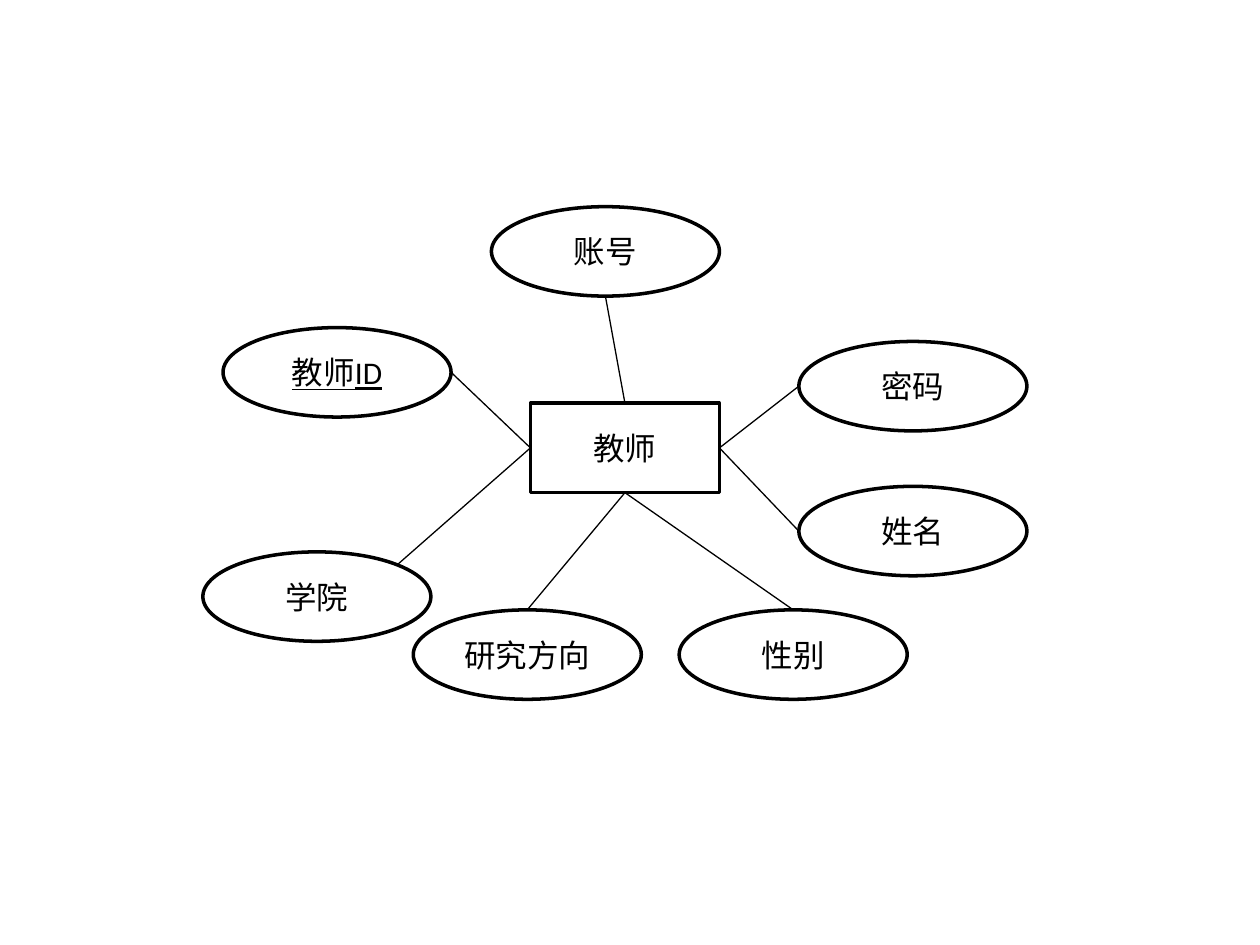
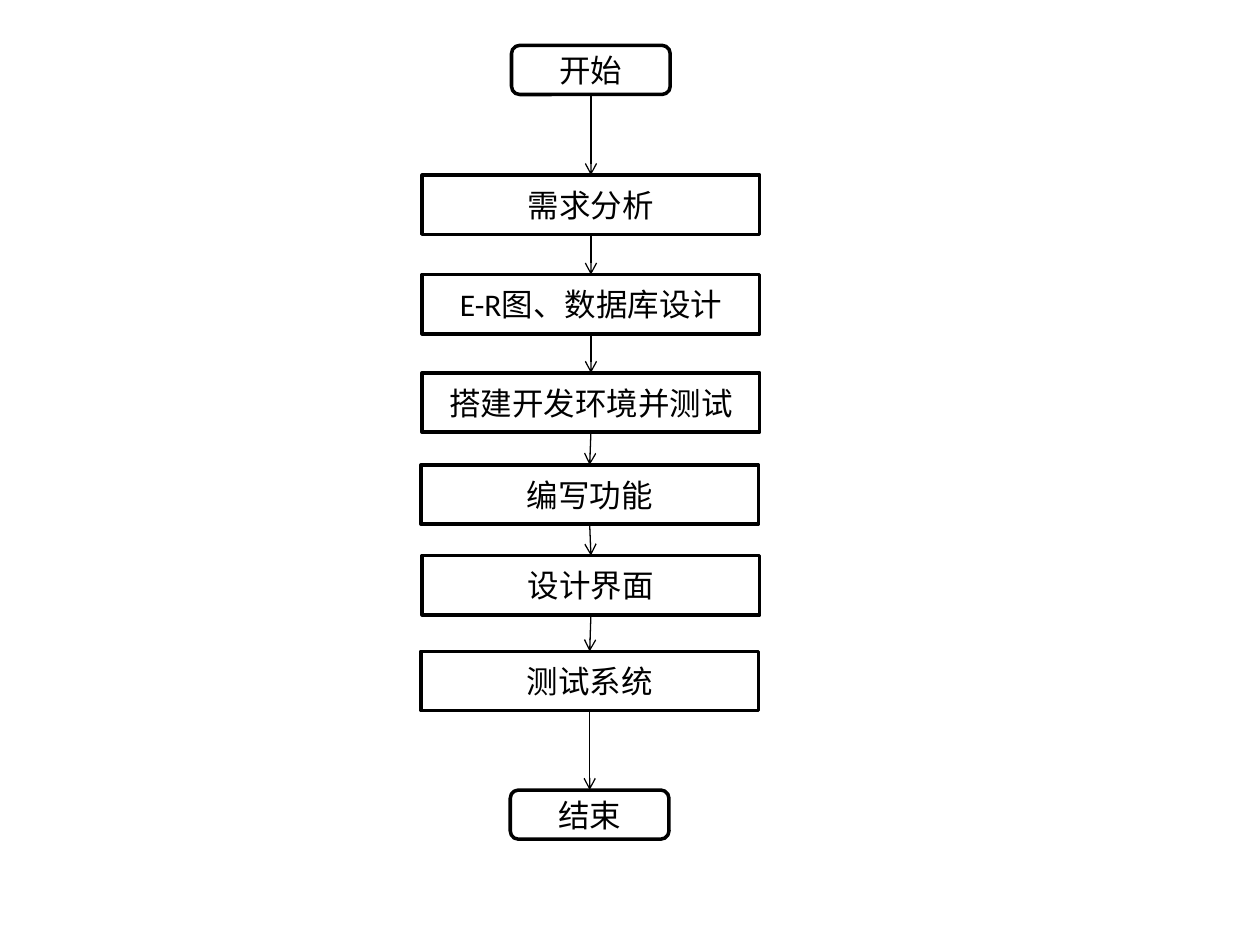
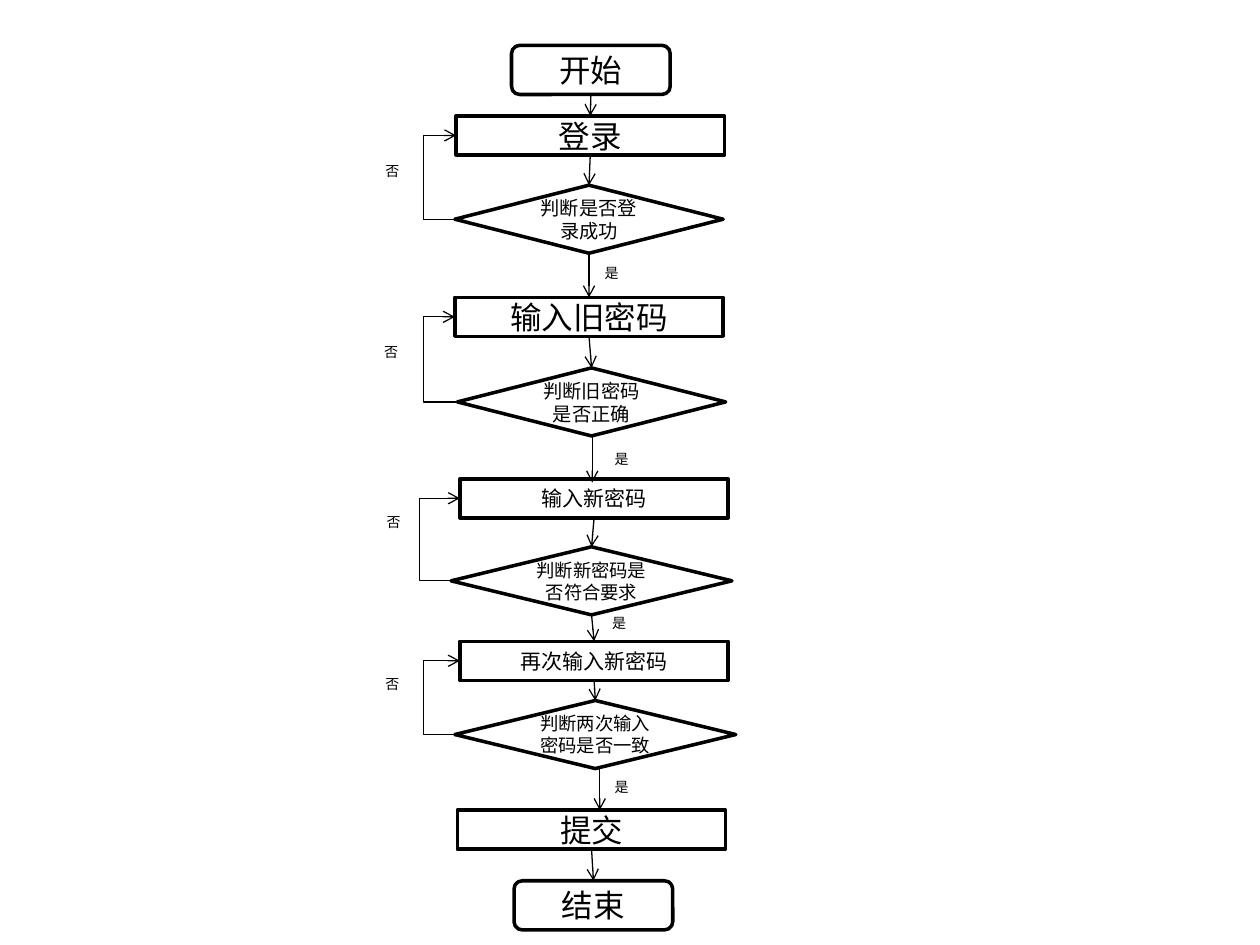
"""Build a teacher E-R diagram, a development flow and a password change flow."""
import dataclasses
import itertools
import typing

import lxml.etree
import pptx
import pptx.dml.color
import pptx.enum.shapes
import pptx.enum.text
import pptx.oxml.ns
import pptx.util

EMU_PER_PX = 9144
BLANK_LAYOUT = 6
BLACK = pptx.dml.color.RGBColor(0, 0, 0)
OUTLINE_WIDTH = 2
LINK_WIDTH = 0.75
LABEL_SIZE = 8
LABEL_WIDTH, LABEL_HEIGHT = 31, 24
LOOP_REACH = 25
GLUE_TOP, GLUE_LEFT, GLUE_BOTTOM = 0, 1, 2

PRESET = pptx.enum.shapes.MSO_SHAPE
CONNECTOR = pptx.enum.shapes.MSO_CONNECTOR

SIDES = {
    "top": (0.5, 0),
    "left": (0, 0.5),
    "bottom": (0.5, 1),
    "right": (1, 0.5),
    "upper right": (0.85, 0.15),
}


@dataclasses.dataclass(frozen=True)
class Form:
    """Outline, size in px and text size shared by nodes of one kind."""

    preset: typing.Any
    width: int
    height: int
    text_size: float = 18


@dataclasses.dataclass(frozen=True)
class Node:
    """A labelled outline at a place in px."""

    form: Form
    text: str
    left: int
    top: int
    underline: bool = False

    def side(self, name: str) -> tuple[float, float]:
        """Return the point on the named side."""
        across, down = SIDES[name]
        return self.left + across * self.form.width, self.top + down * self.form.height


class Attribute(typing.NamedTuple):
    """An attribute node with the sides its link joins."""

    node: Node
    own_side: str
    entity_side: str


class Label(typing.NamedTuple):
    """A small branch label at a place in px."""

    text: str
    left: int
    top: int


ENTITY = Form(PRESET.RECTANGLE, 150, 71)
OVAL = Form(PRESET.OVAL, 181, 71)
TERMINAL = Form(PRESET.ROUNDED_RECTANGLE, 126, 39)
STAGE = Form(PRESET.RECTANGLE, 268, 47)
ACTION = Form(PRESET.RECTANGLE, 213, 31)
SMALL_ACTION = Form(PRESET.RECTANGLE, 213, 31, 12)
DECISION = Form(PRESET.FLOWCHART_DECISION, 213, 54, 11)
WIDE_DECISION = Form(PRESET.FLOWCHART_DECISION, 223, 54, 10.5)

TEACHER = Node(ENTITY, "教师", 421, 320)
TEACHER_ATTRIBUTES = [
    Attribute(Node(OVAL, "教师ID", 177, 260, True), "right", "left"),
    Attribute(Node(OVAL, "密码", 634, 271), "left", "right"),
    Attribute(Node(OVAL, "账号", 390, 164), "bottom", "top"),
    Attribute(Node(OVAL, "学院", 161, 438), "upper right", "left"),
    Attribute(Node(OVAL, "姓名", 634, 386), "left", "right"),
    Attribute(Node(OVAL, "研究方向", 328, 484), "top", "bottom"),
    Attribute(Node(OVAL, "性别", 539, 484), "top", "bottom"),
]

DEVELOPMENT_STEPS = [
    Node(TERMINAL, "开始", 406, 36),
    Node(STAGE, "需求分析", 335, 139),
    Node(STAGE, "E-R图、数据库设计", 335, 218),
    Node(STAGE, "搭建开发环境并测试", 335, 296),
    Node(STAGE, "编写功能", 334, 369),
    Node(STAGE, "设计界面", 335, 441),
    Node(STAGE, "测试系统", 334, 517),
    Node(TERMINAL, "结束", 405, 627),
]

PASSWORD_STEPS = [
    Node(TERMINAL, "开始", 406, 36),
    Node(ACTION, "登录", 362, 92),
    Node(DECISION, "判断是否登录成功", 361, 147),
    Node(ACTION, "输入旧密码", 361, 236),
    Node(DECISION, "判断旧密码是否正确", 363, 292),
    Node(SMALL_ACTION, "输入新密码", 365, 380),
    Node(WIDE_DECISION, "判断新密码是否符合要求", 358, 434),
    Node(SMALL_ACTION, "再次输入新密码", 365, 509),
    Node(WIDE_DECISION, "判断两次输入密码是否一致", 361, 556),
    Node(ACTION, "提交", 363, 643),
    Node(TERMINAL, "结束", 408, 699),
]
FREE_ARROWS = {
    "判断旧密码是否正确": ((470, 346), (470, 383)),
    "判断两次输入密码是否一致": ((476, 609), (476, 643)),
}
BRANCH_LABELS = [
    Label("是", 470, 205),
    Label("是", 478, 353),
    Label("是", 476, 483),
    Label("是", 478, 613),
    Label("否", 296, 124),
    Label("否", 295, 268),
    Label("否", 297, 403),
    Label("否", 296, 531),
]


def px(length: float) -> pptx.util.Emu:
    """Turn px into EMU."""
    return pptx.util.Emu(round(length * EMU_PER_PX))


def write_text(shape: typing.Any, text: str, size: float, underline: bool = False) -> typing.Any:
    """Write one formatted paragraph and return it."""
    paragraph = shape.text_frame.paragraphs[0]
    run = paragraph.add_run()
    run.text = text
    text_format = {"name": "Calibri", "size": pptx.util.Pt(size), "underline": underline or None}
    for name, value in text_format.items():
        setattr(run.font, name, value)
    run.font.color.rgb = BLACK
    return paragraph


def draw_line_format(line: typing.Any, width: float) -> None:
    """Give a line its colour and width."""
    line.color.rgb = BLACK
    line.width = pptx.util.Pt(width)


def draw_node(slide: typing.Any, node: Node) -> typing.Any:
    """Draw an unfilled outline with centred text."""
    form = node.form
    shape = slide.shapes.add_shape(
        form.preset, px(node.left), px(node.top), px(form.width), px(form.height)
    )
    shape.shadow.inherit = False
    shape.fill.background()
    draw_line_format(shape.line, OUTLINE_WIDTH)
    frame_format = {"word_wrap": True, "vertical_anchor": pptx.enum.text.MSO_ANCHOR.MIDDLE}
    for name, value in frame_format.items():
        setattr(shape.text_frame, name, value)
    paragraph = write_text(shape, node.text, form.text_size, node.underline)
    paragraph.alignment = pptx.enum.text.PP_ALIGN.CENTER
    return shape


def draw_link(
    slide: typing.Any,
    start: tuple[float, float],
    end: tuple[float, float],
    arrow: bool = False,
    kind: typing.Any = CONNECTOR.STRAIGHT,
) -> typing.Any:
    """Draw a thin connector, with an arrowhead at its end on request."""
    connector = slide.shapes.add_connector(kind, *map(px, (*start, *end)))
    draw_line_format(connector.line, LINK_WIDTH)
    qualified = pptx.oxml.ns.qn
    if arrow:
        line = connector.line._get_or_add_ln()
        lxml.etree.SubElement(line, qualified("a:tailEnd"), type="arrow")
    lxml.etree.SubElement(connector._element.spPr, qualified("a:effectLst"))
    return connector


def draw_flow(slide: typing.Any, steps: list[Node], free_arrows: dict) -> list:
    """Draw the steps and the arrows from each to the next."""
    shapes = [draw_node(slide, step) for step in steps]
    for (step, shape), (following, target) in itertools.pairwise(zip(steps, shapes)):
        if step.text in free_arrows:
            draw_link(slide, *free_arrows[step.text], arrow=True)
            continue
        connector = draw_link(slide, step.side("bottom"), following.side("top"), arrow=True)
        connector.begin_connect(shape, GLUE_BOTTOM)
        connector.end_connect(target, GLUE_TOP)
    return shapes


def draw_retry(
    slide: typing.Any, decision: Node, action: Node, decision_shape: typing.Any, action_shape: typing.Any
) -> None:
    """Draw the elbow arrow from a decision back to its action."""
    start, end = decision.side("left"), action.side("left")
    connector = draw_link(slide, start, end, arrow=True, kind=CONNECTOR.ELBOW)
    connector.begin_connect(decision_shape, GLUE_LEFT)
    connector.end_connect(action_shape, GLUE_LEFT)
    bend_x = min(start[0], end[0]) - LOOP_REACH
    bend = round((bend_x - start[0]) / (end[0] - start[0]) * 100000)
    qualified = pptx.oxml.ns.qn
    adjustments = connector._element.spPr.find(".//" + qualified("a:avLst"))
    lxml.etree.SubElement(adjustments, qualified("a:gd"), name="adj1", fmla=f"val {bend}")


def draw_label(slide: typing.Any, label: Label) -> None:
    """Draw a branch label."""
    box = slide.shapes.add_textbox(
        px(label.left), px(label.top), px(LABEL_WIDTH), px(LABEL_HEIGHT)
    )
    box.text_frame.auto_size = pptx.enum.text.MSO_AUTO_SIZE.SHAPE_TO_FIT_TEXT
    write_text(box, label.text, LABEL_SIZE)


def build_teacher_diagram(slide: typing.Any) -> None:
    """Draw the teacher entity and its attributes."""
    draw_node(slide, TEACHER)
    for attribute in TEACHER_ATTRIBUTES:
        draw_node(slide, attribute.node)
        draw_link(
            slide, attribute.node.side(attribute.own_side), TEACHER.side(attribute.entity_side)
        )


def build_development_flow(slide: typing.Any) -> None:
    """Draw the development steps."""
    draw_flow(slide, DEVELOPMENT_STEPS, {})


def build_password_flow(slide: typing.Any) -> None:
    """Draw the password change steps, retries and branch labels."""
    shapes = draw_flow(slide, PASSWORD_STEPS, FREE_ARROWS)
    for (action, action_shape), (step, shape) in itertools.pairwise(zip(PASSWORD_STEPS, shapes)):
        if step.form in (DECISION, WIDE_DECISION):
            draw_retry(slide, step, action, shape, action_shape)
    for label in BRANCH_LABELS:
        draw_label(slide, label)


def main() -> None:
    """Build and save the presentation."""
    presentation = pptx.Presentation()
    presentation.slide_width = px(1000)
    presentation.slide_height = px(750)
    for build in (build_teacher_diagram, build_development_flow, build_password_flow):
        build(presentation.slides.add_slide(presentation.slide_layouts[BLANK_LAYOUT]))
    presentation.save("out.pptx")


if __name__ == "__main__":
    main()
